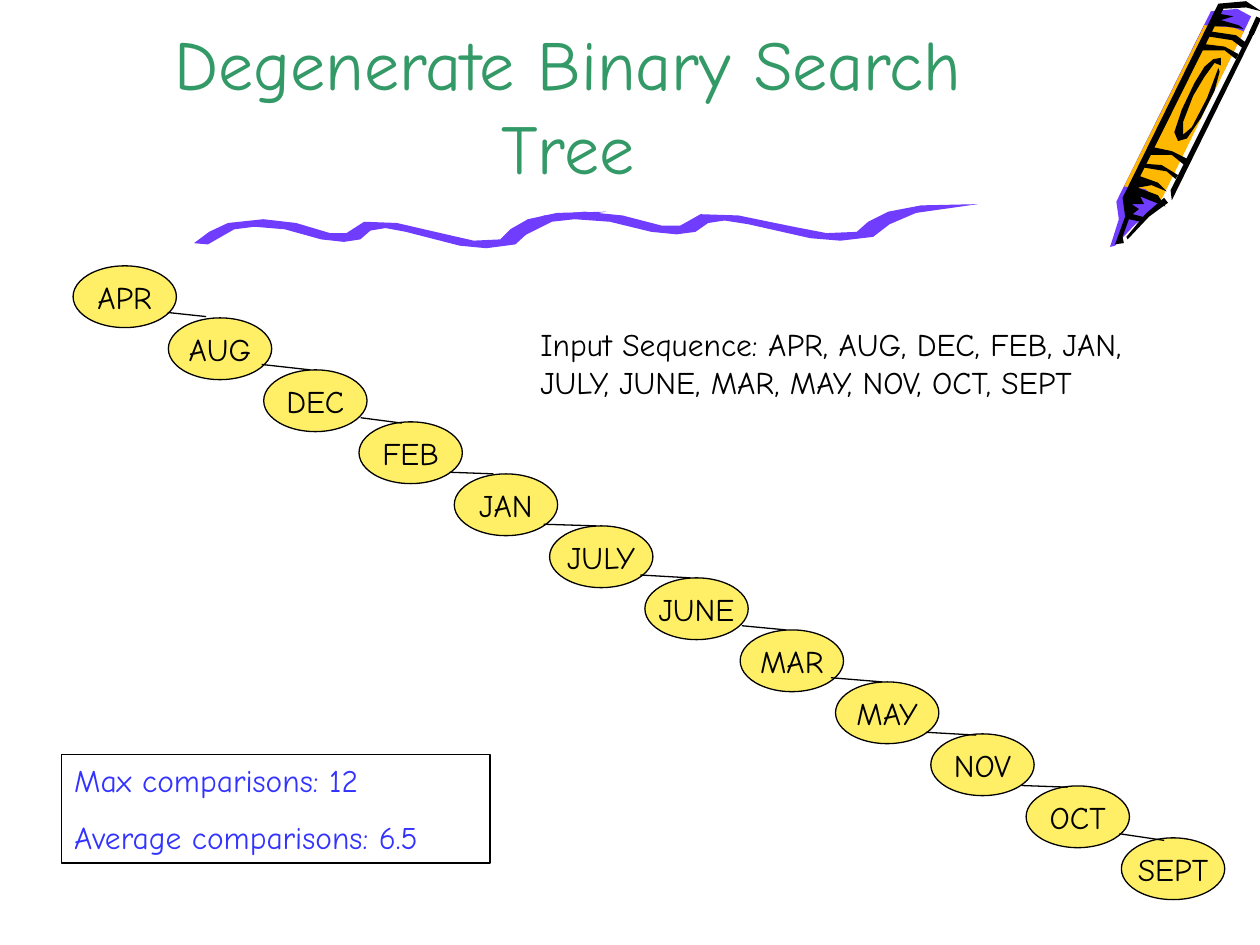
from dataclasses import dataclass

from lxml import etree
from pptx import Presentation
from pptx import util as u
from pptx.dml.color import RGBColor
from pptx.enum import shapes, text
from pptx.oxml import ns


@dataclass(frozen=True)
class Theme:
    """Colours, font and type sizes of the slide."""
    font: str = "Comic Neue"
    title_size: float = 40
    text_size: float = 18
    space_before: float = 11.2
    thin: float = 0.75
    thick: float = 3
    title: str = "339966"
    ink: str = "000000"
    result: str = "3333FF"
    node: str = "FFEF66"
    purple: str = "703DFF"
    orange: str = "FFB800"


THEME = Theme()

MONTHS = ["APR", "AUG", "DEC", "FEB", "JAN", "JULY", "JUNE", "MAR", "MAY", "NOV", "OCT", "SEPT"]
FIRST_NODE, LAST_NODE, NODE_SIZE = (0.58, 2.11), (8.9, 6.65), (0.82, 0.49)

# Edge ends, as offsets from the parent's and then the child's top-left corner.
EDGES = [
    (0.75, 0.37, 0.30, -0.01), (0.74, 0.37, 0.37, 0), (0.77, 0.38, 0.34, 0.01),
    (0.72, 0.40, 0.31, 0), (0.71, 0.40, 0.37, 0), (0.72, 0.39, 0.36, 0),
    (0.77, 0.38, 0.36, 0), (0.72, 0.38, 0.37, 0), (0.72, 0.40, 0.36, 0.01),
    (0.72, 0.41, 0.33, 0.01), (0.74, 0.38, 0.34, 0.02),
]

CRAYON = [
    (THEME.purple, [(993, 13), (917, 166), (901, 178), (885, 195), (881, 196), (888, 174),
                    (886, 160), (961, 9), (982, 7)]),
    (THEME.orange, [(921, 160), (909, 150), (892, 148), (956, 20), (979, 22), (987, 25)]),
    (THEME.ink, [(927, 161), (912, 172), (895, 190), (894, 188), (909, 170), (924, 157)]),
    (THEME.ink, [(987, 23), (973, 21), (961, 21), (968, 11), (979, 13), (969, 16), (983, 20)]),
    (THEME.ink, [(968, 57), (964, 72), (953, 94), (942, 110), (935, 112), (932, 105), (938, 87),
                 (948, 66), (956, 53), (963, 47), (969, 46), (969, 52), (964, 50), (956, 61),
                 (947, 76), (939, 97), (939, 107), (946, 101), (958, 78), (967, 54)]),
    (THEME.ink, [(997, 23), (930, 159), (929, 151), (993, 23)]),
    (THEME.ink, [(925, 164), (919, 155), (903, 149), (914, 147), (926, 152), (919, 145),
                 (905, 140), (971, 7), (989, 6), (1001, 9), (989, 1), (967, 3), (891, 157),
                 (893, 172), (885, 194), (892, 193), (891, 188), (896, 174), (905, 176),
                 (910, 173), (899, 170), (904, 166), (898, 162), (908, 162), (905, 156)]),
    (THEME.ink, [(933, 142), (926, 136), (908, 133), (909, 130), (922, 131), (935, 139)]),
    (THEME.ink, [(940, 131), (930, 123), (913, 123), (916, 117), (930, 120), (942, 126)]),
    (THEME.ink, [(981, 47), (972, 40), (953, 40), (956, 35), (972, 37), (983, 43)]),
    (THEME.ink, [(986, 38), (978, 32), (959, 29), (961, 25), (981, 28), (989, 34)]),
]

WAVE = [
    (165, 194), (186, 182), (202, 180), (226, 182), (255, 190), (273, 192), (286, 190),
    (294, 183), (306, 181), (322, 184), (365, 195), (386, 197), (409, 194), (420, 184),
    (438, 175), (481, 168), (442, 169), (419, 174), (405, 182), (397, 190), (376, 191),
    (354, 186), (315, 177), (289, 176), (275, 185), (262, 185), (235, 177), (209, 174),
    (181, 177), (166, 184), (154, 193),
]


def inches(*lengths):
    """Turn lengths in inches into slide units."""
    return [u.Inches(length) for length in lengths]


def write(frame, lines, size, color, align=None, space_before=None):
    """Fill a text frame with one styled paragraph per line."""
    frame.text = "\n".join(lines)
    for paragraph in frame.paragraphs:
        paragraph.alignment = align
        if space_before is not None:
            paragraph.space_before = u.Pt(space_before)
        paragraph.font.name = THEME.font
        paragraph.font.size = u.Pt(size)
        paragraph.font.color.rgb = RGBColor.from_string(color)


def add_title(slide, wording):
    """Place the title placeholder above the wavy rule."""
    title = slide.shapes.title
    title.left, title.top, title.width, title.height = inches(0.75, 0, 7.51, 1.55)
    write(title.text_frame, [wording], THEME.title_size, THEME.title, text.PP_ALIGN.CENTER)
    title.text_frame.vertical_anchor = text.MSO_ANCHOR.BOTTOM
    title.text_frame.auto_size = text.MSO_AUTO_SIZE.NONE


def add_outline(slide, points, color):
    """Draw a filled polygon from points in hundredths of an inch."""
    builder = slide.shapes.build_freeform(*points[0], scale=u.Inches(1) / 100)
    builder.add_line_segments(points[1:], close=True)
    outline = builder.convert_to_shape()
    outline.shadow.inherit = False
    outline.fill.solid()
    outline.fill.fore_color.rgb = RGBColor.from_string(color)
    outline.line.fill.background()


def add_line(slide, start, end, width):
    """Draw a straight black line without a shadow."""
    line = slide.shapes.add_connector(
        shapes.MSO_CONNECTOR.STRAIGHT, *inches(*start, *end))
    line.line.color.rgb = RGBColor.from_string(THEME.ink)
    line.line.width = u.Pt(width)
    etree.SubElement(line._element.spPr, ns.qn("a:effectLst"))


def add_outlined(slide, preset, box, fill=None):
    """Add a thinly outlined preset shape and return it."""
    shape = slide.shapes.add_shape(preset, *inches(*box))
    shape.shadow.inherit = False
    if fill:
        shape.fill.solid()
        shape.fill.fore_color.rgb = RGBColor.from_string(fill)
    else:
        shape.fill.background()
    shape.line.color.rgb = RGBColor.from_string(THEME.ink)
    shape.line.width = u.Pt(THEME.thin)
    return shape


def add_decoration(slide):
    """Draw the crayon and the two-part wavy rule."""
    for color, points in CRAYON:
        add_outline(slide, points, color)
    add_line(slide, (9.99, 0.14), (9.93, 0.27), THEME.thick)
    stretched = [(401 + (x - 154) * 375 / 327, y - 6) for x, y in WAVE]
    for wave in (WAVE, stretched):
        add_outline(slide, wave, THEME.purple)


def add_tree(slide):
    """Draw the chain of month nodes and the edges between them."""
    steps = len(MONTHS) - 1
    corners = [tuple(a + (b - a) * i / steps for a, b in zip(FIRST_NODE, LAST_NODE))
               for i in range(len(MONTHS))]
    for month, corner in zip(MONTHS, corners):
        node = add_outlined(slide, shapes.MSO_SHAPE.OVAL, corner + NODE_SIZE, THEME.node)
        write(node.text_frame, [month], THEME.text_size, THEME.ink, text.PP_ALIGN.CENTER)
        node.text_frame.word_wrap = False
        node.text_frame.vertical_anchor = text.MSO_ANCHOR.MIDDLE
    for parent, child, (x1, y1, x2, y2) in zip(corners, corners[1:], EDGES):
        add_line(slide, (parent[0] + x1, parent[1] + y1),
                 (child[0] + x2, child[1] + y2), THEME.thin)


def add_notes_on_tree(slide):
    """Add the input sequence and the box of comparison counts."""
    sequence = slide.shapes.add_textbox(*inches(4.19, 2.53, 5.27, 0.7)).text_frame
    sequence.word_wrap = True
    write(sequence, ["Input Sequence: " + ", ".join(MONTHS)], THEME.text_size, THEME.ink,
          space_before=THEME.space_before)
    counts = add_outlined(slide, shapes.MSO_SHAPE.RECTANGLE, (0.49, 5.99, 3.4, 0.86)).text_frame
    counts.vertical_anchor = text.MSO_ANCHOR.TOP
    write(counts, ["Max comparisons: 12", "Average comparisons: 6.5"], THEME.text_size,
          THEME.result, text.PP_ALIGN.LEFT, THEME.space_before)


def main():
    """Build the slide and save it."""
    deck = Presentation()
    deck.slide_width, deck.slide_height = inches(10, 7.5)
    slide = deck.slides.add_slide(deck.slide_layouts[5])
    add_decoration(slide)
    add_title(slide, "Degenerate Binary Search Tree")
    add_tree(slide)
    add_notes_on_tree(slide)
    deck.save("out.pptx")


if __name__ == "__main__":
    main()
